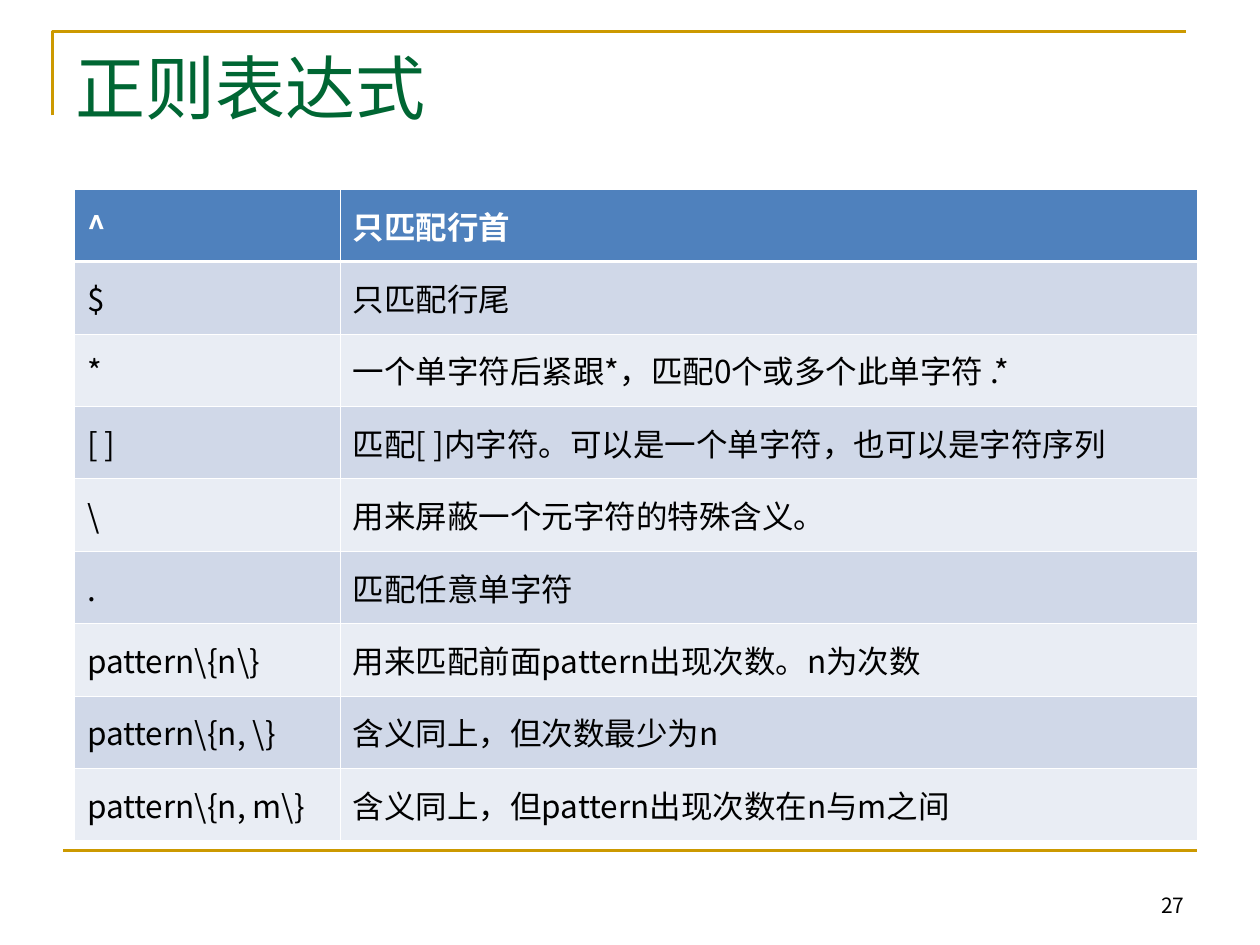
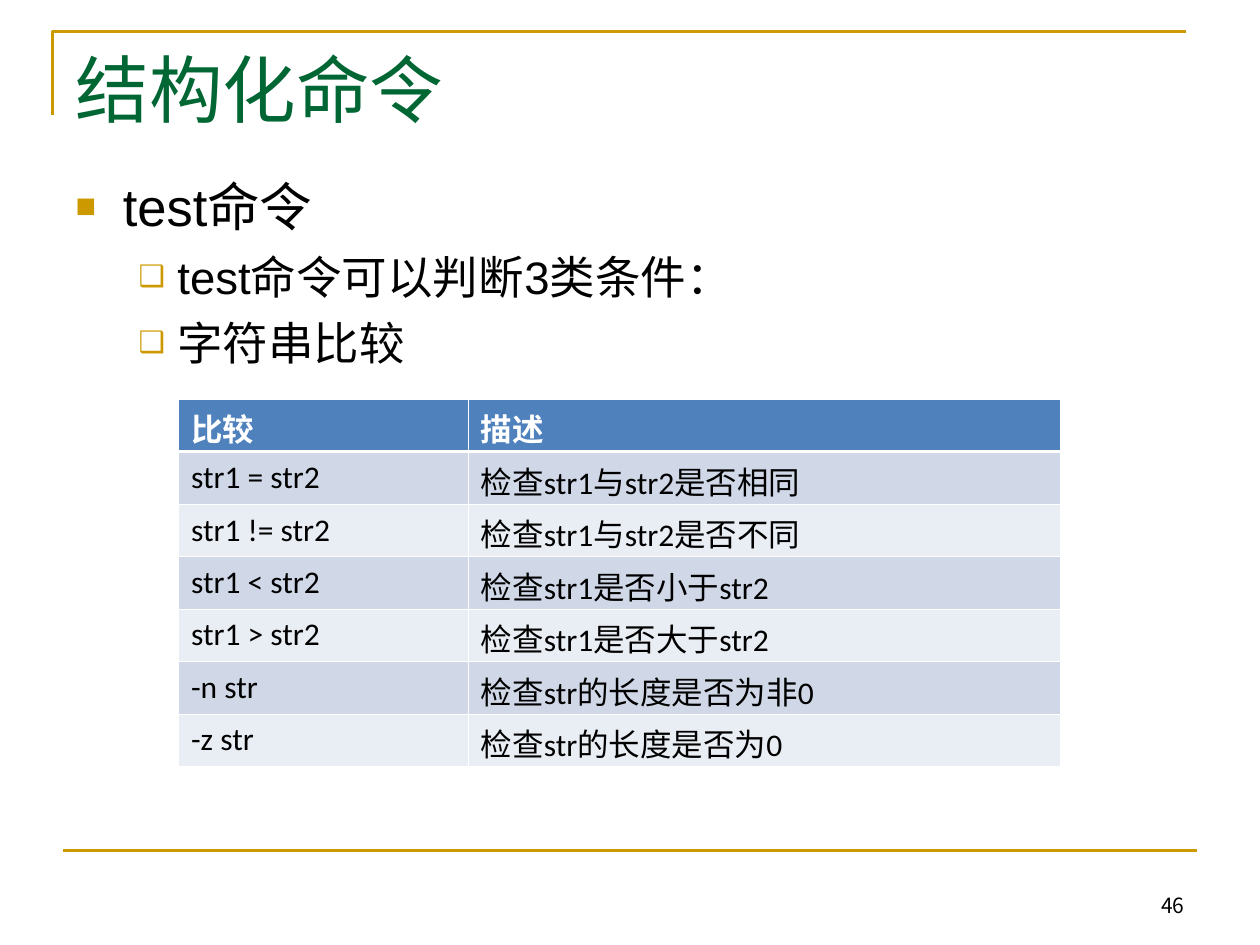
from lxml import etree
from pptx import Presentation
from pptx.dml.color import RGBColor
from pptx.enum.shapes import MSO_CONNECTOR
from pptx.enum.text import MSO_ANCHOR, MSO_AUTO_SIZE, PP_ALIGN
from pptx.oxml.ns import qn
from pptx.util import Pt

PX = 7620  # EMU in one px, 120 px to the inch
STRAIGHT = MSO_CONNECTOR.STRAIGHT
TOP, MIDDLE, BOTTOM = MSO_ANCHOR.TOP, MSO_ANCHOR.MIDDLE, MSO_ANCHOR.BOTTOM
NO_AUTOFIT = MSO_AUTO_SIZE.NONE
LEFT, RIGHT = PP_ALIGN.LEFT, PP_ALIGN.RIGHT

GOLD, GREEN, BLACK, WHITE = "CC9900", "006633", "000000", "FFFFFF"
HEADER_BLUE, BAND_DARK, BAND_LIGHT = "4F81BD", "D0D8E8", "E9EDF4"
SANS, TABLE_FONT = "Noto Sans CJK SC", "Calibri"
TITLE_FONT, BODY_FONT = "Times New Roman", "Arial"
THIN, THICK = 0.45, 1.47  # table borders in points


def color(hex_string):
    return RGBColor.from_string(hex_string)


def write(paragraph, text, size=18, font=SANS, east_asian=SANS, fill=BLACK,
          bold=False, align=LEFT, before=0):
    paragraph.alignment = align
    paragraph.space_before = Pt(before)
    run = paragraph.add_run()
    run.text = text
    run.font.size = Pt(size)
    run.font.name = font
    run.font.bold = bold
    run.font.color.rgb = color(fill)
    properties = run.font._element
    properties.set("lang", "zh-CN")
    latin = properties.find(qn("a:latin"))
    latin.addnext(etree.Element(qn("a:ea"), typeface=east_asian))


# Content of the two slides
regex_rows = [
    ("^", "只匹配行首"),
    ("$", "只匹配行尾"),
    ("*", "一个单字符后紧跟*，匹配0个或多个此单字符 .*"),
    ("[ ]", "匹配[ ]内字符。可以是一个单字符，也可以是字符序列"),
    ("\\", "用来屏蔽一个元字符的特殊含义。"),
    (".", "匹配任意单字符"),
    ("pattern\\{n\\}", "用来匹配前面pattern出现次数。n为次数"),
    ("pattern\\{n, \\}", "含义同上，但次数最少为n"),
    ("pattern\\{n, m\\}", "含义同上，但pattern出现次数在n与m之间"),
]
comparison_rows = [
    ("比较", "描述"),
    ("str1 = str2", "检查str1与str2是否相同"),
    ("str1 != str2", "检查str1与str2是否不同"),
    ("str1 < str2", "检查str1是否小于str2"),
    ("str1 > str2", "检查str1是否大于str2"),
    ("-n str", "检查str的长度是否为非0"),
    ("-z str", "检查str的长度是否为0"),
]
test_bullets = [(0, "test命令"), (1, "test命令可以判断3类条件："), (1, "字符串比较")]
# Per list level: size, space before, bullet, left margin and hanging indent in px
bullet_levels = [(30, 7.5, "■", 45, 45), (26, 6.5, "❑", 97, 37)]

slides = [
    dict(title="正则表达式", title_size=40, number="27", bullets=[],
         rows=regex_rows, left=71, top=180, columns=(253, 816), row_height=69,
         latin_font=SANS),
    dict(title="结构化命令", title_size=42, number="46", bullets=test_bullets,
         rows=comparison_rows, left=170, top=380, columns=(276, 564), row_height=50,
         latin_font=TABLE_FONT),
]

presentation = Presentation()
presentation.slide_width = 1200 * PX
presentation.slide_height = 900 * PX

for content in slides:
    layout = presentation.slide_layouts[1 if content["bullets"] else 5]
    slide = presentation.slides.add_slide(layout)

    # Gold corner and bottom rule
    builder = slide.shapes.build_freeform(50, 110, scale=PX)
    builder.add_line_segments([(50, 30), (1130, 30)], close=False)
    corner = builder.convert_to_shape()
    corner.fill.background()
    corner.shadow.inherit = False
    rule = slide.shapes.add_connector(STRAIGHT, 60 * PX, 810 * PX, 1140 * PX, 810 * PX)
    etree.SubElement(rule._element.spPr, qn("a:effectLst"))
    for shape in (corner, rule):
        shape.line.color.rgb = color(GOLD)
        shape.line.width = Pt(1.5)

    # Slide number
    number = slide.shapes.add_textbox(860 * PX, 820 * PX, 280 * PX, 60 * PX)
    number.text_frame.word_wrap = True
    number.text_frame.vertical_anchor = BOTTOM
    write(number.text_frame.paragraphs[0], content["number"], size=12, align=RIGHT)

    # Title
    title = slide.shapes.title
    title.left, title.top, title.width, title.height = 60 * PX, 36 * PX, 1080 * PX, 150 * PX
    title.text_frame.vertical_anchor = TOP
    title.text_frame.auto_size = NO_AUTOFIT
    write(title.text_frame.paragraphs[0], content["title"], size=content["title_size"],
          font=TITLE_FONT, east_asian=TABLE_FONT, fill=GREEN)

    # Bulleted list
    if content["bullets"]:
        body = slide.placeholders[1]
        body.left, body.top, body.width, body.height = 60 * PX, 160 * PX, 1080 * PX, 640 * PX
        body.text_frame.vertical_anchor = TOP
        body.text_frame.auto_size = NO_AUTOFIT
    for index, (level, text) in enumerate(content["bullets"]):
        size, before, symbol, margin, hanging = bullet_levels[level]
        paragraph = body.text_frame.add_paragraph() if index else body.text_frame.paragraphs[0]
        paragraph.level = level
        properties = paragraph._p.get_or_add_pPr()
        properties.set("marL", str(margin * PX))
        properties.set("indent", str(-hanging * PX))
        bullet_color = etree.SubElement(properties, qn("a:buClr"))
        etree.SubElement(bullet_color, qn("a:srgbClr"), val=GOLD)
        etree.SubElement(properties, qn("a:buSzPct"), val="65000")
        etree.SubElement(properties, qn("a:buChar"), char=symbol)
        write(paragraph, text, size=size, font=BODY_FONT, east_asian=TABLE_FONT,
              before=before if index else 0)

    # Table with a blue header and alternating bands
    rows, columns = content["rows"], content["columns"]
    table = slide.shapes.add_table(
        len(rows), len(columns), content["left"] * PX, content["top"] * PX,
        sum(columns) * PX, len(rows) * content["row_height"] * PX).table
    for column, width in zip(table.columns, columns):
        column.width = width * PX
    for row_index, row in enumerate(rows):
        table.rows[row_index].height = content["row_height"] * PX
        is_header = row_index == 0
        band = HEADER_BLUE if is_header else (BAND_LIGHT, BAND_DARK)[row_index % 2]
        borders = {"lnL": THIN, "lnR": THIN,
                   "lnT": THICK if row_index == 1 else THIN,
                   "lnB": THICK if is_header else THIN}
        for column_index, text in enumerate(row):
            cell = table.cell(row_index, column_index)
            cell_properties = cell._tc.get_or_add_tcPr()
            for side, points in borders.items():
                border = etree.SubElement(cell_properties, qn("a:" + side), w=str(Pt(points)))
                border_fill = etree.SubElement(border, qn("a:solidFill"))
                etree.SubElement(border_fill, qn("a:srgbClr"), val=WHITE)
            cell.fill.solid()
            cell.fill.fore_color.rgb = color(band)
            cell.vertical_anchor = MIDDLE
            has_latin = any(letter.isascii() for letter in text)
            write(cell.text_frame.paragraphs[0], text,
                  font=content["latin_font"] if has_latin else TABLE_FONT,
                  fill=WHITE if is_header else BLACK, bold=is_header)

presentation.save("out.pptx")
